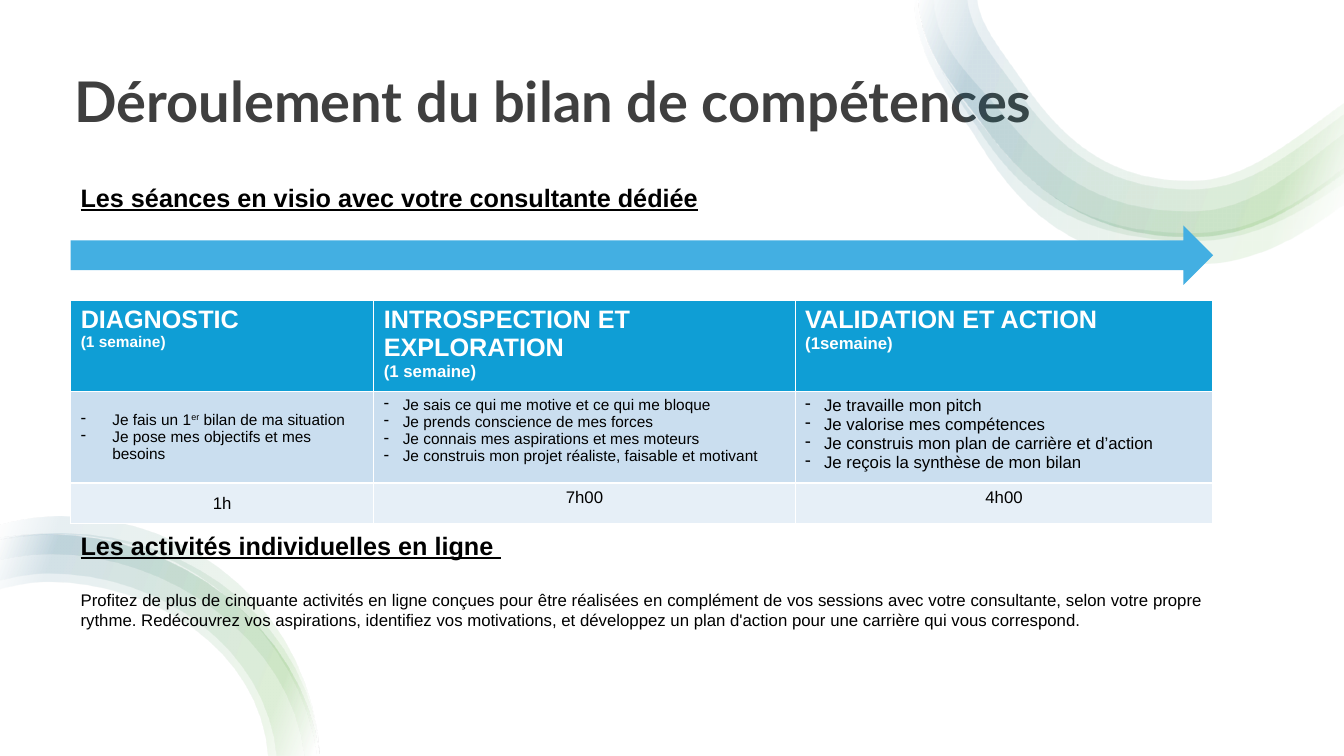
from dataclasses import dataclass

from lxml import etree
from pptx import Presentation
from pptx.dml.color import RGBColor
from pptx.enum.shapes import MSO_SHAPE
from pptx.enum.text import MSO_ANCHOR, PP_ALIGN
from pptx.oxml import parse_xml
from pptx.oxml.ns import qn
from pptx.util import Pt

RIGHT_ARROW = MSO_SHAPE.RIGHT_ARROW
TOP, MIDDLE, BOTTOM = MSO_ANCHOR.TOP, MSO_ANCHOR.MIDDLE, MSO_ANCHOR.BOTTOM
LEFT, CENTER, JUSTIFY = PP_ALIGN.LEFT, PP_ALIGN.CENTER, PP_ALIGN.JUSTIFY
NS = "http://schemas.openxmlformats.org/drawingml/2006/main"


@dataclass(frozen=True)
class Theme:
    title_font: str = "Lato"
    body_font: str = "Arial"
    title_color: str = "3F3F3F"
    text: str = "000000"
    light: str = "FFFFFF"
    arrow: str = "43AFE2"
    header: str = "0F9ED5"
    steps: str = "CADEEF"
    hours: str = "E6EFF7"
    title_size: int = 40
    heading_size: int = 18
    body_size: int = 12
    small_size: int = 11
    ribbon: tuple = ((0, "FFFFFF"), (2, "FFFFFF"), (16, "4EA72E"), (85, "156082"), (100, "FFFFFF"))
    ribbon_angle: int = 200
    ribbon_alpha: int = 10


THEME = Theme()

TOP_RIBBON_EDGE = [(656, 0), (659, 40), (680, 59), (701, 88), (737, 138), (781, 169), (850, 169),
                   (891, 169), (921, 151), (960, 123)]
TOP_RIBBON = [
    ([(653, 0), (654, 45), (681, 72), (698, 100), (728, 148), (765, 188), (854, 188),
      (895, 188), (928, 169), (960, 145)],
     [(655, 0), (657, 36), (682, 66), (706, 95), (737, 135), (775, 166), (850, 166),
      (896, 166), (928, 144), (960, 119)]),
    ([(656, 0), (657, 30), (680, 65), (698, 91), (726, 135), (765, 172), (852, 172),
      (895, 172), (928, 152), (960, 130)],
     [(667, 0), (668, 34), (694, 55), (714, 79), (748, 121), (782, 151), (850, 151),
      (896, 151), (928, 118), (960, 95)]),
    (TOP_RIBBON_EDGE,
     [(691, 0), (694, 26), (711, 42), (729, 68), (763, 115), (799, 135), (850, 135),
      (890, 135), (915, 114), (960, 81)]),
    (TOP_RIBBON_EDGE,
     [(698, 0), (700, 20), (717, 38), (735, 65), (766, 108), (800, 129), (850, 129),
      (886, 129), (912, 108), (960, 73)]),
]
BOTTOM_RIBBON_EDGE = [(0, 386), (12, 383), (23, 382), (35, 382), (125, 382), (215, 446), (228, 540)]
BOTTOM_RIBBON = [
    (BOTTOM_RIBBON_EDGE,
     [(0, 421), (12, 418), (23, 416), (35, 416), (108, 416), (185, 464), (191, 540)]),
    (BOTTOM_RIBBON_EDGE,
     [(0, 415), (12, 412), (23, 410), (35, 410), (115, 410), (190, 464), (197, 540)]),
    ([(0, 384), (14, 382), (29, 381), (44, 381), (140, 381), (222, 450), (228, 540)],
     [(0, 400), (13, 397), (26, 396), (38, 396), (118, 396), (207, 455), (217, 540)]),
    ([(0, 375), (15, 371), (29, 369), (44, 369), (140, 369), (222, 440), (228, 540)],
     [(0, 386), (14, 383), (29, 382), (44, 382), (135, 382), (215, 455), (226, 540)]),
]

PHASES = [
    ("DIAGNOSTIC", "(1 semaine)", THEME.small_size),
    ("INTROSPECTION ET EXPLORATION", "(1 semaine)", THEME.body_size),
    ("VALIDATION ET ACTION", "(1semaine)", THEME.body_size),
]
STEPS = [
    (["Je fais un 1^er^ bilan de ma situation", "Je pose mes objectifs et mes besoins"],
     THEME.small_size, 22.5, MIDDLE),
    (["Je sais ce qui me motive et ce qui me bloque", "Je prends conscience de mes forces",
      "Je connais mes aspirations et mes moteurs",
      "Je construis mon projet réaliste, faisable et motivant"], THEME.small_size, 13.5, TOP),
    (["Je travaille mon pitch", "Je valorise mes compétences",
      "Je construis mon plan de carrière et d’action", "Je reçois la synthèse de mon bilan"],
     THEME.body_size, 13.5, TOP),
]
HOURS = [("1h", MIDDLE), ("7h00", TOP), ("4h00", TOP)]


def rgb(color):
    return RGBColor.from_string(color)


def add_paragraph(tf, text, size, color=THEME.text, bold=False, underline=False, align=LEFT,
                  font=THEME.body_font):
    p = tf.paragraphs[0]
    if p.runs:
        p = tf.add_paragraph()
    p.alignment = align
    p.font.name, p.font.size, p.font.bold, p.font.underline = font, Pt(size), bold, underline
    p.font.color.rgb = rgb(color)
    for i, part in enumerate(text.split("^")):
        r = p.add_run()
        r.text = part
        if i % 2:
            r._r.get_or_add_rPr().set("baseline", "30000")
    return p


def add_bullet(p, indent):
    pPr = p._p.get_or_add_pPr()
    pPr.set("marL", str(Pt(indent)))
    pPr.set("indent", str(-Pt(indent)))
    color = parse_xml(f'<a:buClr xmlns:a="{NS}"><a:srgbClr val="{THEME.text}"/></a:buClr>')
    char = parse_xml(f'<a:buChar xmlns:a="{NS}" char="-"/>')
    pPr.insert_element_before(color, "a:buSzPct", "a:buFont", "a:buChar", "a:tabLst", "a:defRPr")
    pPr.insert_element_before(char, "a:tabLst", "a:defRPr")


def sample_curve(points, steps=16):
    curve = [points[0]]
    for i in range(0, len(points) - 1, 3):
        a, b, c, d = points[i:i + 4]
        for n in range(1, steps + 1):
            t = n / steps
            u = 1 - t
            curve.append(tuple(u**3 * a[k] + 3 * u * u * t * b[k] + 3 * u * t * t * c[k] + t**3 * d[k]
                               for k in (0, 1)))
    return curve


def add_ribbon(s, bands):
    for outer, inner in bands:
        outline = [(Pt(x), Pt(y)) for x, y in sample_curve(outer) + sample_curve(inner)[::-1]]
        builder = s.shapes.build_freeform(*outline[0])
        builder.add_line_segments(outline[1:], close=True)
        sp = builder.convert_to_shape()
        sp.shadow.inherit = False
        sp.line.fill.background()
        sp.fill.gradient()
        grad = sp._element.spPr.find(qn("a:gradFill"))
        stops = grad.find(qn("a:gsLst"))
        for stop in list(stops):
            stops.remove(stop)
        for pos, color in THEME.ribbon:
            gs = etree.SubElement(stops, qn("a:gs"), pos=str(pos * 1000))
            clr = etree.SubElement(gs, qn("a:srgbClr"), val=color)
            etree.SubElement(clr, qn("a:alpha"), val=str(THEME.ribbon_alpha * 1000))
        grad.find(qn("a:lin")).set("ang", str(THEME.ribbon_angle * 60000))


def add_title(s, x, y, w, h):
    sp = s.shapes.title
    sp.left, sp.top, sp.width, sp.height = Pt(x), Pt(y), Pt(w), Pt(h)
    tf = sp.text_frame
    tf.vertical_anchor = BOTTOM
    p = add_paragraph(tf, "Déroulement du bilan de compétences", THEME.title_size,
                      THEME.title_color, bold=True, font=THEME.title_font)
    p.line_spacing = 0.9


def add_section(s, x, y, w, h, heading, body=None):
    tf = s.shapes.add_textbox(Pt(x), Pt(y), Pt(w), Pt(h)).text_frame
    tf.word_wrap = True
    align = JUSTIFY if body else LEFT
    add_paragraph(tf, heading, THEME.heading_size, bold=True, underline=True, align=align)
    if body:
        p = add_paragraph(tf, body, THEME.body_size, align=align)
        p.space_before = Pt(21)


def add_arrow(s, x, y, w, h):
    sp = s.shapes.add_shape(RIGHT_ARROW, Pt(x), Pt(y), Pt(w), Pt(h))
    sp.shadow.inherit = False
    sp.fill.solid()
    sp.fill.fore_color.rgb = rgb(THEME.arrow)
    sp.line.fill.background()


def add_phases(s, x, y, widths, heights):
    table = s.shapes.add_table(len(heights), len(widths), Pt(x), Pt(y), Pt(sum(widths)),
                               Pt(sum(heights))).table
    table.horz_banding = False
    for col, w in zip(table.columns, widths):
        col.width = Pt(w)
    for row, h, color in zip(table.rows, heights, (THEME.header, THEME.steps, THEME.hours)):
        row.height = Pt(h)
        for cell in row.cells:
            cell.fill.solid()
            cell.fill.fore_color.rgb = rgb(color)
    for i, (name, duration, size) in enumerate(PHASES):
        tf = table.cell(0, i).text_frame
        add_paragraph(tf, name, THEME.heading_size, THEME.light, bold=True)
        add_paragraph(tf, duration, size, THEME.light, bold=True)
    for i, (steps, size, indent, anchor) in enumerate(STEPS):
        cell = table.cell(1, i)
        cell.vertical_anchor = anchor
        for step in steps:
            add_bullet(add_paragraph(cell.text_frame, step, size), indent)
    for i, (hours, anchor) in enumerate(HOURS):
        cell = table.cell(2, i)
        cell.vertical_anchor = anchor
        add_paragraph(cell.text_frame, hours, THEME.body_size, align=CENTER)


def main():
    prs = Presentation()
    prs.slide_width, prs.slide_height = Pt(960), Pt(540)
    s = prs.slides.add_slide(prs.slide_layouts[5])
    add_title(s, 46, 8.5, 855, 91.5)
    add_ribbon(s, TOP_RIBBON)
    add_ribbon(s, BOTTOM_RIBBON)
    add_section(s, 50.5, 375, 816.5, 80, "Les activités individuelles en ligne ",
                "Profitez de plus de cinquante activités en ligne conçues pour être réalisées en "
                "complément de vos sessions avec votre consultante, selon votre propre rythme. "
                "Redécouvrez vos aspirations, identifiez vos motivations, et développez un plan "
                "d'action pour une carrière qui vous correspond.")
    add_section(s, 50.5, 126.5, 627, 29, "Les séances en visio avec votre consultante dédiée")
    add_arrow(s, 50.5, 161, 816, 42.5)
    add_phases(s, 50.5, 214.75, (216.5, 301, 298.5), (64, 65.5, 29))
    prs.save("out.pptx")


if __name__ == "__main__":
    main()
